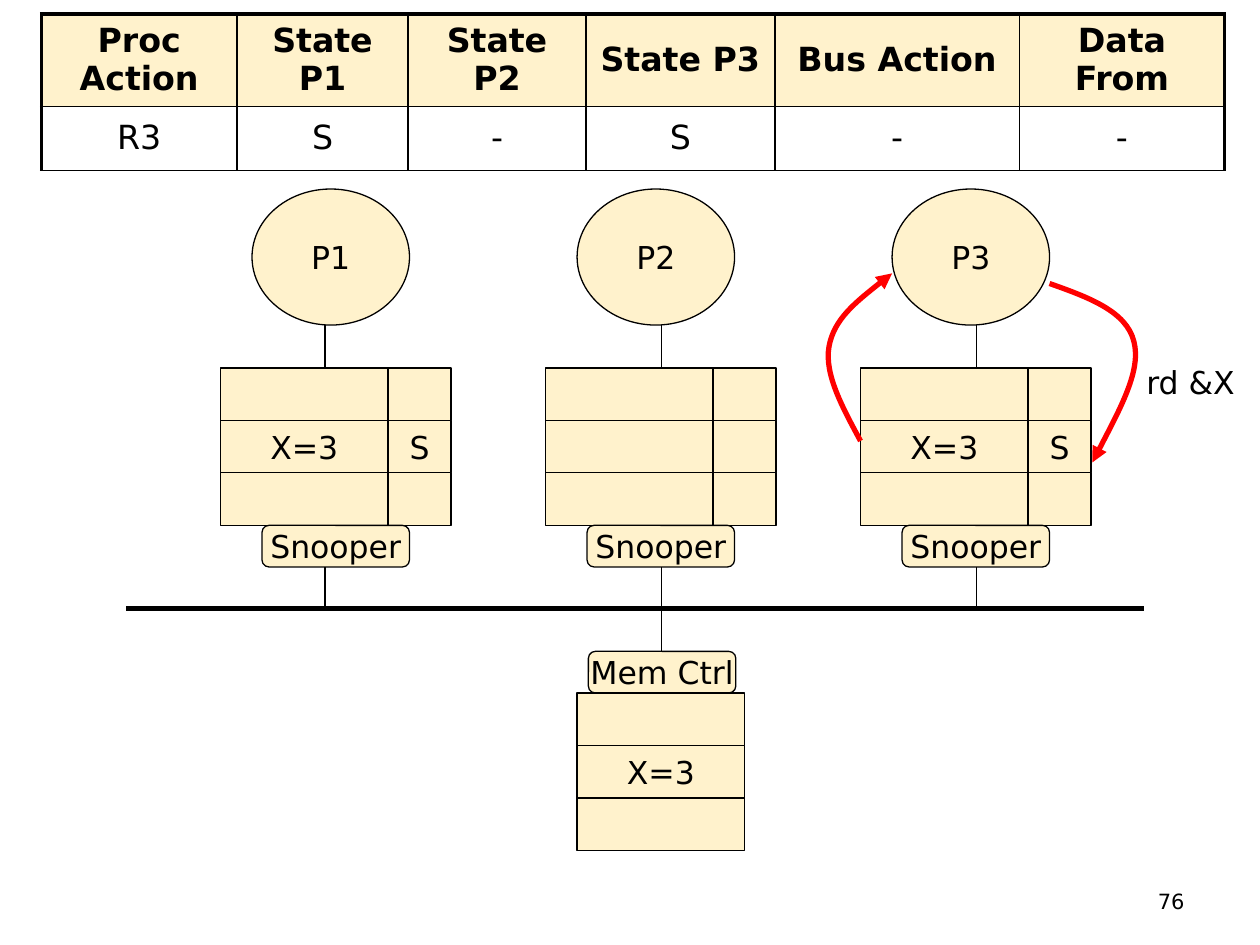
from lxml.etree import SubElement
from pptx import Presentation
from pptx.dml.color import RGBColor
from pptx.enum.shapes import MSO_CONNECTOR, MSO_SHAPE
from pptx.enum.text import MSO_ANCHOR, PP_ALIGN
from pptx.oxml.ns import qn
from pptx.util import Inches, Pt

BLACK = RGBColor(0x00, 0x00, 0x00)
CREAM = RGBColor(0xFF, 0xF2, 0xCC)
RED = RGBColor(0xFF, 0x00, 0x00)
FONT = "DejaVu Sans"

# Content
STATE_TABLE = [
    ["Proc Action", "State P1", "State P2", "State P3", "Bus Action", "Data From"],
    ["R3", "S", "-", "S", "-", "-"],
]
COLUMN_WIDTHS = [1.55, 1.36, 1.41, 1.5, 1.94, 1.63]
ROW_HEIGHTS = [0.73, 0.51]
EMPTY = ("", "")
# Name, left of the cache, x of the vertical links, cache lines
PROCESSORS = [
    ("P1", 1.75, 2.58, [EMPTY, ("X=3", "S"), EMPTY]),
    ("P2", 4.33, 5.25, [EMPTY, EMPTY, EMPTY]),
    ("P3", 6.83, 7.75, [EMPTY, ("X=3", "S"), EMPTY]),
]
MEMORY = ["", "X=3", ""]
# Start point, then three points for each Bezier segment
READ_ARROWS = [
    [(8.33, 2.25), (8.64, 2.36), (8.94, 2.47), (9, 2.71),
     (9.06, 2.94), (8.86, 3.3), (8.67, 3.67)],
    [(6.83, 3.5), (6.69, 3.24), (6.54, 2.97), (6.58, 2.75),
     (6.62, 2.53), (6.85, 2.35), (7.08, 2.17)],
]

# Layout
OVAL_TOP, OVAL_WIDTH, OVAL_HEIGHT = 1.5, 1.25, 1.08
CACHE_TOP, CELL_HEIGHT = 2.92, 1.25 / 3
DATA_WIDTH, STATE_WIDTH = 1.33, 0.5
UNIT_WIDTH, UNIT_HEIGHT = 1.17, 0.33
SNOOPER_TOP, BUS_Y, CONTROLLER_TOP = 4.17, 4.83, 5.17
MEMORY_LEFT, MEMORY_TOP = 4.58, 5.5

presentation = Presentation()
presentation.slide_width, presentation.slide_height = Inches(10), Inches(7.5)
slide = presentation.slides.add_slide(presentation.slide_layouts[6])
shapes = slide.shapes


def write(frame, text, size=18, bold=False, align=PP_ALIGN.CENTER):
    frame.text = text
    paragraph = frame.paragraphs[0]
    paragraph.alignment = align
    for name, value in {"name": FONT, "size": Pt(size), "bold": bold}.items():
        setattr(paragraph.font, name, value)
    paragraph.font.color.rgb = BLACK


def set_line(line, color=BLACK, width=0.75):
    line.color.rgb = color
    line.width = Pt(width)


def add_block(preset, left, top, width, height, text=""):
    block = shapes.add_shape(preset, *map(Inches, (left, top, width, height)))
    block.shadow.inherit = False
    block.fill.solid()
    block.fill.fore_color.rgb = CREAM
    set_line(block.line)
    if text:
        block.text_frame.word_wrap = False
        block.text_frame.vertical_anchor = MSO_ANCHOR.MIDDLE
        write(block.text_frame, text)


def add_line(x1, y1, x2, y2, width=0.75):
    line = shapes.add_connector(MSO_CONNECTOR.STRAIGHT, *map(Inches, (x1, y1, x2, y2)))
    set_line(line.line, width=width)
    SubElement(line._element.spPr, qn("a:effectLst"))


def add_label(left, top, width, height, text, wrap, anchor, **style):
    label = shapes.add_textbox(*map(Inches, (left, top, width, height)))
    label.text_frame.word_wrap = wrap
    label.text_frame.vertical_anchor = anchor
    write(label.text_frame, text, **style)


def add_curved_arrow(points):
    start_point, *curve_points = [(Inches(x), Inches(y)) for x, y in points]
    builder = shapes.build_freeform(*start_point)
    builder.add_line_segments(curve_points, close=False)
    arrow = builder.convert_to_shape()
    arrow.shadow.inherit = False
    arrow.fill.background()
    set_line(arrow.line, RED, 3)
    SubElement(arrow.line._get_or_add_ln(), qn("a:tailEnd"), type="triangle")
    # Turn each three straight segments into one Bezier segment
    outline = next(arrow._element.iter(qn("a:path")))
    segments = outline.findall(qn("a:lnTo"))
    for start in range(0, len(segments), 3):
        curve = SubElement(outline, qn("a:cubicBezTo"))
        for segment in segments[start:start + 3]:
            curve.append(segment[0])
            outline.remove(segment)


def set_borders(cell, widths):
    properties = cell._tc.get_or_add_tcPr()
    for position, (side, width) in enumerate(widths.items()):
        border = SubElement(properties, qn(f"a:ln{side}"), w=str(Pt(width)))
        fill = SubElement(border, qn("a:solidFill"))
        SubElement(fill, qn("a:srgbClr"), val=str(BLACK))
        properties.insert(position, border)


# Processors, caches and snoopers
for name, left, link_x, cache_lines in PROCESSORS:
    add_block(MSO_SHAPE.OVAL, left + 0.25, OVAL_TOP, OVAL_WIDTH, OVAL_HEIGHT, name)
    add_line(link_x, OVAL_TOP + OVAL_HEIGHT, link_x, CACHE_TOP)
    for row, (data, state) in enumerate(cache_lines):
        top = CACHE_TOP + row * CELL_HEIGHT
        add_block(MSO_SHAPE.RECTANGLE, left, top, DATA_WIDTH, CELL_HEIGHT, data)
        add_block(MSO_SHAPE.RECTANGLE, left + DATA_WIDTH, top,
                  STATE_WIDTH, CELL_HEIGHT, state)
    add_block(MSO_SHAPE.ROUNDED_RECTANGLE, left + 0.33, SNOOPER_TOP,
              UNIT_WIDTH, UNIT_HEIGHT, "Snooper")
    add_line(link_x, SNOOPER_TOP + UNIT_HEIGHT, link_x, BUS_Y)

# Bus and memory
add_line(1, BUS_Y, 9.08, BUS_Y, width=3.25)
add_line(5.25, BUS_Y, 5.25, CONTROLLER_TOP)
add_block(MSO_SHAPE.ROUNDED_RECTANGLE, 4.67, CONTROLLER_TOP,
          UNIT_WIDTH, UNIT_HEIGHT, "Mem Ctrl")
for row, value in enumerate(MEMORY):
    add_block(MSO_SHAPE.RECTANGLE, MEMORY_LEFT, MEMORY_TOP + row * CELL_HEIGHT,
              DATA_WIDTH, CELL_HEIGHT, value)

# Read request and reply
for arrow_points in READ_ARROWS:
    add_curved_arrow(arrow_points)
add_label(9, 2.83, 0.9, 0.4, "rd &X", False, MSO_ANCHOR.TOP, align=PP_ALIGN.LEFT)

# State table
table = shapes.add_table(
    len(STATE_TABLE), len(COLUMN_WIDTHS), Inches(0.33), Inches(0.11),
    Inches(sum(COLUMN_WIDTHS)), Inches(sum(ROW_HEIGHTS))).table
for column, width in zip(table.columns, COLUMN_WIDTHS):
    column.width = Inches(width)
for row, height in zip(table.rows, ROW_HEIGHTS):
    row.height = Inches(height)
last_column = len(COLUMN_WIDTHS) - 1
for r, texts in enumerate(STATE_TABLE):
    for c, text in enumerate(texts):
        cell = table.cell(r, c)
        header = r == 0
        write(cell.text_frame, text, size=19, bold=header)
        cell.vertical_anchor = MSO_ANCHOR.MIDDLE
        if header:
            cell.fill.solid()
            cell.fill.fore_color.rgb = CREAM
        else:
            cell.fill.background()
        set_borders(cell, {
            "L": 2.25 if c == 0 else 1,
            "R": 2.25 if c == last_column else 1,
            "T": 2.25 if header else 1,
            "B": 1,
        })

# Slide number
add_label(7.17, 6.95, 2.33, 0.4, "76", True, MSO_ANCHOR.MIDDLE,
          size=12, align=PP_ALIGN.RIGHT)

presentation.save("out.pptx")
